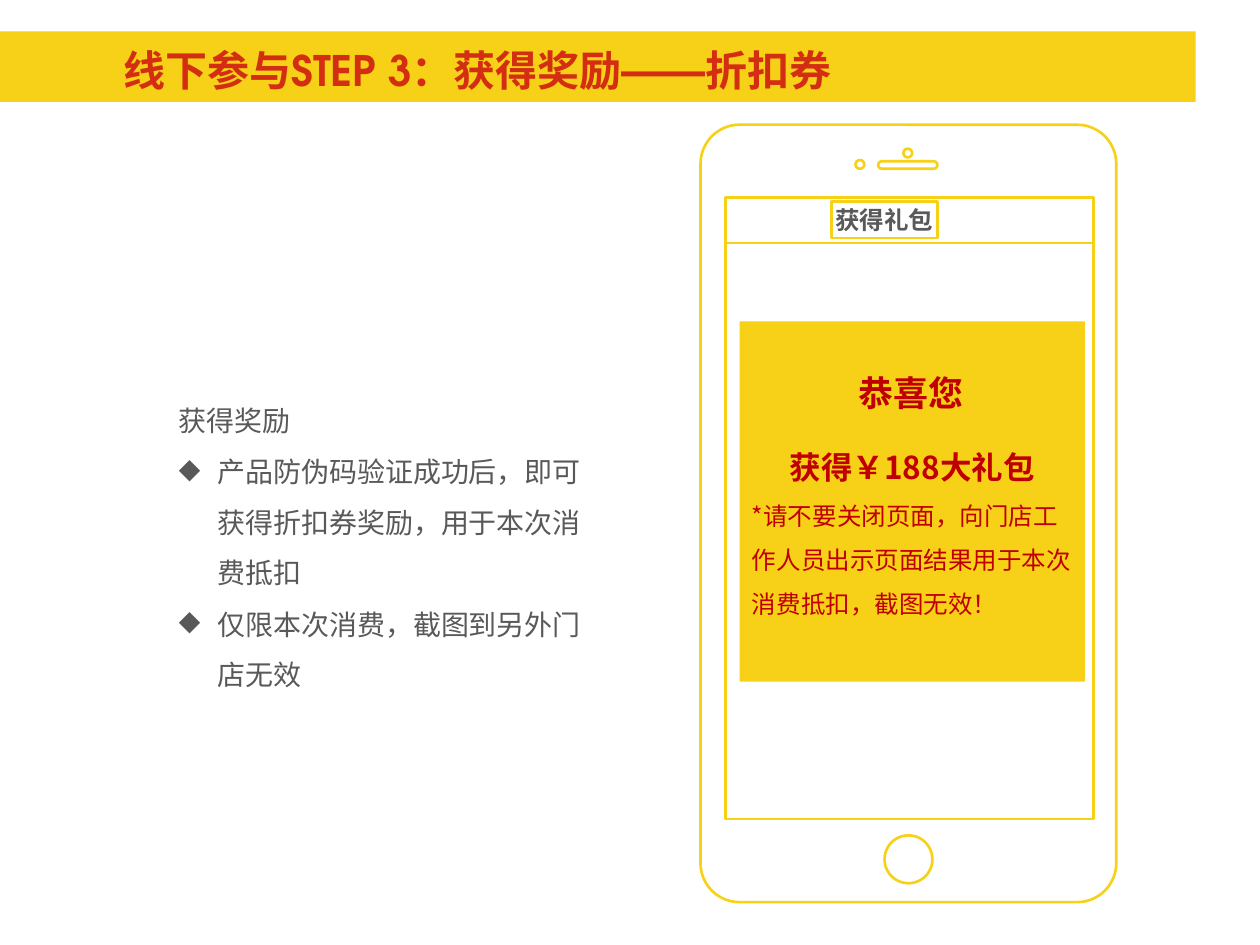
from pptx import Presentation
from pptx.dml.color import RGBColor
from pptx.enum.shapes import MSO_CONNECTOR, MSO_SHAPE as Shape
from pptx.enum.text import MSO_ANCHOR as Anchor, MSO_AUTO_SIZE as Fit, PP_ALIGN as Align
from pptx.oxml.ns import qn
from pptx.util import Inches, Pt
from lxml import etree

COLORS = {"yellow": "F7D117", "title": "D42E12", "grey": "595959", "red": "C00000"}
SANS = "Noto Sans CJK SC"
HEADING = "TeX Gyre Adventor"

deck = Presentation()
deck.slide_width, deck.slide_height = Inches(10), Inches(7.5)
page = deck.slides.add_slide(deck.slide_layouts[5])


def add_box(kind, left, top, width, height, filled=False, radius=None):
    """Add a yellow shape, either solid or outlined."""
    box = page.shapes.add_shape(kind, Inches(left), Inches(top), Inches(width), Inches(height))
    box.shadow.inherit = False
    if radius is not None:
        box.adjustments[0] = radius
    yellow = RGBColor.from_string(COLORS["yellow"])
    if filled:
        box.fill.solid()
        box.fill.fore_color.rgb = yellow
        box.line.fill.background()
    else:
        box.fill.background()
        box.line.color.rgb = yellow
        box.line.width = Pt(1.5)
    return box


def write(box, lines, color, font=SANS, inset=None, fit=Fit.NONE, wrap=True, anchor=Anchor.TOP):
    """Fill a box with (text, size, bold, alignment, line spacing) lines."""
    frame = box.text_frame
    frame.word_wrap, frame.auto_size, frame.vertical_anchor = wrap, fit, anchor
    if inset is not None:
        frame.margin_left = frame.margin_right = Inches(inset)
        frame.margin_top = frame.margin_bottom = Inches(inset)
    frame.text = "\n".join(line[0] for line in lines)
    for para, (_, size, bold, align, spacing) in zip(frame.paragraphs, lines):
        para.alignment, para.line_spacing = align, spacing
        for span in para.runs:
            span.font.size, span.font.bold = Pt(size), bold
            span.font.color.rgb = RGBColor.from_string(COLORS[color])
            span.font.name = font
            latin = span.font._element.find(qn("a:latin"))
            east_asian = etree.Element(qn("a:ea"), typeface=font)
            latin.addnext(east_asian)


# Title band, kept behind the title
band = add_box(Shape.RECTANGLE, 0, 0.25, 9.49, 0.56, filled=True)
title = page.shapes.title
band._element.getparent().remove(band._element)
title._element.addprevious(band._element)
title.left, title.top, title.width, title.height = map(Inches, (0.98, 0.32, 8.42, 0.46))
write(title, [("线下参与STEP 3：获得奖励——折扣券", 24, True, Align.LEFT, 1.0)],
      "title", HEADING, inset=0, anchor=Anchor.MIDDLE)

# Reward notes
notes = page.shapes.add_textbox(Inches(1.42), Inches(3.07), Inches(3.23), Inches(2.36))
note_lines = ["获得奖励",
              "产品防伪码验证成功后，即可获得折扣券奖励，用于本次消费抵扣",
              "仅限本次消费，截图到另外门店无效"]
write(notes, [(text, 16, False, Align.LEFT, 1.5) for text in note_lines], "grey", inset=0)
for number, para in enumerate(notes.text_frame.paragraphs):
    para.space_after = Pt(0.6)
    if number > 0:
        props = para._element.get_or_add_pPr()
        props.set("marL", str(Inches(0.31)))
        props.set("indent", str(-Inches(0.31)))
        etree.SubElement(props, qn("a:buChar"), char="◆")

# Phone: body, screen, home button, speaker, sensor, camera
phone_parts = [
    (Shape.ROUNDED_RECTANGLE, 5.56, 0.99, 3.3, 6.17, 0.094),
    (Shape.RECTANGLE, 5.76, 1.57, 2.92, 4.93, None),
    (Shape.OVAL, 7.02, 6.63, 0.38, 0.38, None),
    (Shape.ROUNDED_RECTANGLE, 6.97, 1.28, 0.47, 0.06, 0.5),
    (Shape.OVAL, 6.79, 1.27, 0.07, 0.07, None),
    (Shape.OVAL, 7.17, 1.18, 0.07, 0.07, None),
]
for kind, left, top, width, height, radius in phone_parts:
    add_box(kind, left, top, width, height, radius=radius)

# Coupon card
add_box(Shape.RECTANGLE, 5.87, 2.55, 2.74, 2.86, filled=True)
greeting = page.shapes.add_textbox(Inches(6.28), Inches(2.73), Inches(1.9), Inches(0.61))
write(greeting, [("恭喜您", 20, True, Align.CENTER, 1.5)], "red", fit=Fit.SHAPE_TO_FIT_TEXT)
coupon = page.shapes.add_textbox(Inches(5.87), Inches(3.36), Inches(2.74), Inches(1.62))
write(coupon, [
    ("获得￥188大礼包", 18, True, Align.CENTER, 1.5),
    ("*请不要关闭页面，向门店工作人员出示页面结果用于本次消费抵扣，截图无效！",
     14, False, Align.LEFT, 1.5),
], "red", fit=Fit.SHAPE_TO_FIT_TEXT)

# Screen heading and its rule
heading = add_box(Shape.RECTANGLE, 6.6, 1.6, 0.84, 0.29)
write(heading, [("获得礼包", 14, True, Align.LEFT, 1.0)], "grey", "Arial", inset=0.03,
      fit=Fit.SHAPE_TO_FIT_TEXT, wrap=False, anchor=Anchor.MIDDLE)
rule = page.shapes.add_connector(MSO_CONNECTOR.STRAIGHT, Inches(5.75), Inches(1.93),
                                 Inches(8.67), Inches(1.93))
rule.line.color.rgb = RGBColor.from_string(COLORS["yellow"])
rule.line.width = Pt(1.5)
etree.SubElement(rule._element.spPr, qn("a:effectLst"))

deck.save("out.pptx")
